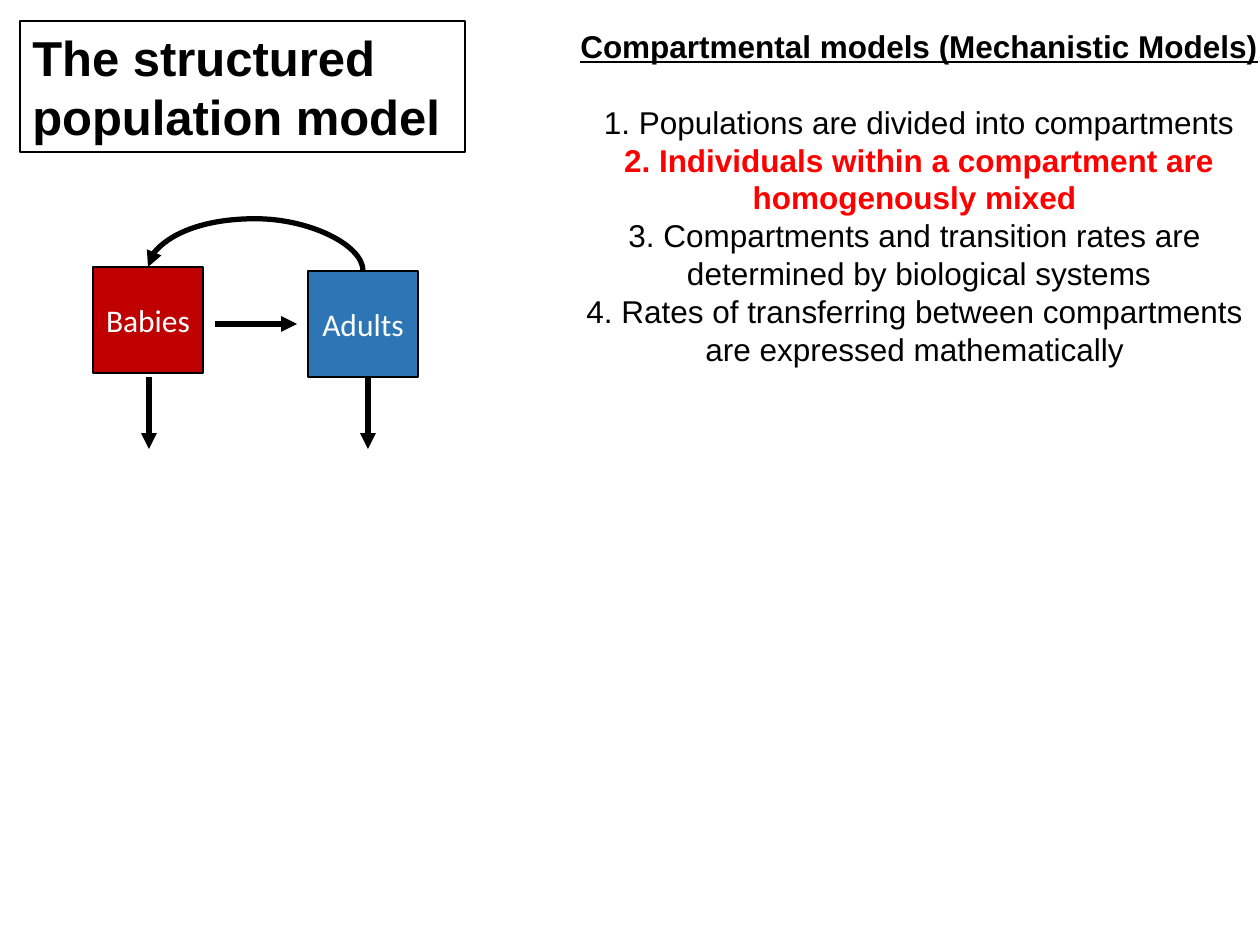
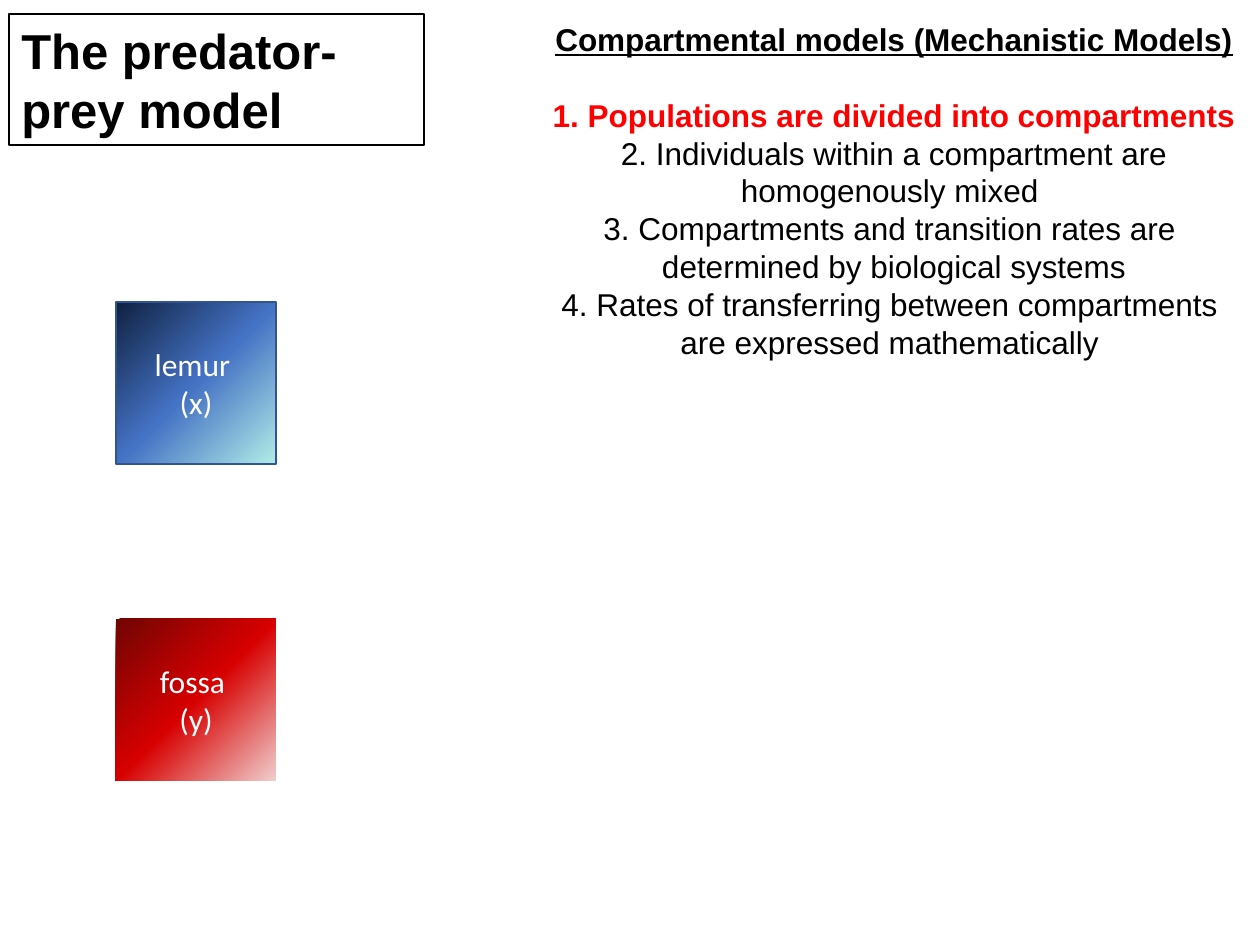
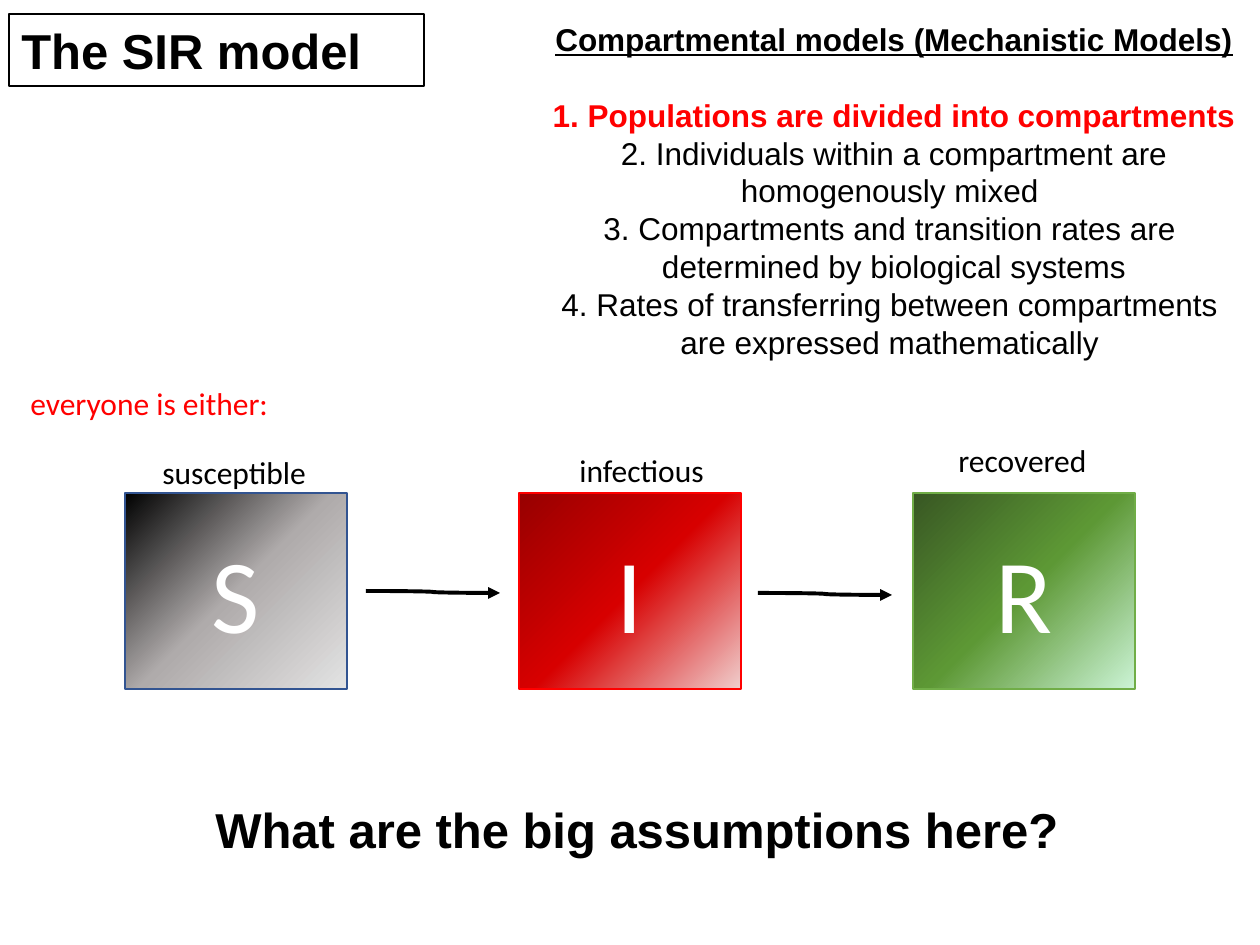
from lxml import etree
from pptx import Presentation
from pptx import util as u
from pptx.dml.color import RGBColor
from pptx.enum import shapes, text
from pptx.oxml.ns import qn

C = {
    "black": "000000", "white": "FFFFFF", "red": "FF0000",
    "babies": "C00000", "adults": "2E75B6",
    "blue_edge": "325491", "green_edge": "70AD47",
}
GRADIENTS = {
    "lemur": ("102141", "4472C4", "B2ECE7"),
    "fossa": ("700503", "D70000", "F0CECD"),
    "susceptible": ("000000", "AFABAB", "E3E3E3"),
    "infectious": ("970000", "D70000", "F0CECD"),
    "recovered": ("385723", "5D9835", "CCF4D6"),
}
HEADING = "Compartmental models (Mechanistic Models)"
PRINCIPLES = [
    ["1. Populations are divided into compartments"],
    ["2. Individuals within a compartment are homogenously mixed "],
    ["3. Compartments and transition rates are ", "determined by biological systems"],
    ["4. Rates of transferring between compartments ", "are expressed mathematically "],
]


def px(*lengths):
    """Turn lengths at 126 px to the inch into EMU."""
    return [u.Emu(round(n * 914400 / 126)) for n in lengths]


def write(tf, lines, size, font="Calibri", color="black", bold=False, align=None):
    """Fill a text frame with one paragraph per line and return the paragraphs."""
    for i, line in enumerate(lines):
        p = tf.add_paragraph() if i else tf.paragraphs[0]
        p.alignment = align
        r = p.add_run()
        r.text = line
        r.font.size = u.Pt(size)
        r.font.name = font
        r.font.bold = bold
        r.font.color.rgb = RGBColor.from_string(C[color])
    return tf.paragraphs


CENTER = text.PP_ALIGN.CENTER
prs = Presentation()
prs.slide_width, prs.slide_height = px(1260, 945)

# Title box and list of principles on every slide: one principle is highlighted
for title, title_box, panel_at, highlight in [
    (["The structured", "population model"], (20, 21, 445, 131), (553, 21), 1),
    (["The predator-prey model"], (9, 14, 415, 131), (528, 14), 0),
    (["The SIR model"], (9, 14, 415, 72), (528, 14), 0),
]:
    s = prs.slides.add_slide(prs.slide_layouts[6])
    sp = s.shapes.add_textbox(*px(*title_box))
    sp.line.color.rgb = RGBColor.from_string(C["black"])
    sp.line.width = u.Pt(0.75)
    sp.text_frame.word_wrap = True
    sp.text_frame.auto_size = text.MSO_AUTO_SIZE.SHAPE_TO_FIT_TEXT
    write(sp.text_frame, title, 28, "Arial", bold=True)

    tf = s.shapes.add_textbox(*px(*panel_at, 732, 357)).text_frame
    tf.word_wrap = True
    lines = [HEADING] + [line for principle in PRINCIPLES for line in principle]
    paragraphs = write(tf, lines, 18, "Arial", align=CENTER)
    paragraphs[0].space_after = u.Pt(21.6)
    paragraphs[0].runs[0].font.bold = True
    paragraphs[0].runs[0].font.underline = True
    for p in paragraphs:
        if p.text in PRINCIPLES[highlight]:
            p.runs[0].font.bold = True
            p.runs[0].font.color.rgb = RGBColor.from_string(C["red"])

structured, predator_prey, sir = prs.slides

# Compartments
SIR_LEFT, SIR_PITCH = 125, 394
compartments = {}
for s, box, lines, size, fill, edge in [
    (structured, (93, 267, 110, 106), ["Babies"], 18, "babies", "black"),
    (structured, (308, 271, 110, 106), ["Adults"], 18, "adults", "black"),
    (predator_prey, (116, 619, 160, 162), ["fossa ", "(y)"], 18, "fossa", None),
    (predator_prey, (116, 302, 160, 162), ["lemur ", "(x)"], 18, "lemur", "blue_edge"),
] + [
    (sir, (SIR_LEFT + i * SIR_PITCH, 493, 222, 196), [letter], 60, fill, edge)
    for i, (letter, fill, edge) in enumerate([
        ("S", "susceptible", "blue_edge"),
        ("I", "infectious", "red"),
        ("R", "recovered", "green_edge"),
    ])
]:
    sp = s.shapes.add_shape(shapes.MSO_SHAPE.RECTANGLE, *px(*box))
    sp.shadow.inherit = False
    if fill in GRADIENTS:
        sp.fill.gradient()
        sp.fill.gradient_angle = 315
        stops = sp.element.spPr.find(".//" + qn("a:gsLst"))
        for stop in list(stops):
            stops.remove(stop)
        for i, color in enumerate(GRADIENTS[fill]):
            stop = etree.SubElement(stops, qn("a:gs"), pos=str(i * 50000))
            etree.SubElement(stop, qn("a:srgbClr"), val=color)
    else:
        sp.fill.solid()
        sp.fill.fore_color.rgb = RGBColor.from_string(C[fill])
    if edge:
        sp.line.color.rgb = RGBColor.from_string(C[edge])
        sp.line.width = u.Pt(1)
    else:
        sp.line.fill.background()
    sp.text_frame.vertical_anchor = text.MSO_ANCHOR.MIDDLE
    write(sp.text_frame, lines, size, color="white", align=CENTER)
    compartments[lines[0]] = sp

# Arrows
STRAIGHT, CURVE = shapes.MSO_CONNECTOR.STRAIGHT, shapes.MSO_CONNECTOR.CURVE
arrows = {}
for name, s, kind, ends, width in [
    ("growth", structured, STRAIGHT, (215, 324, 297, 324), 3),
    ("baby deaths", structured, STRAIGHT, (149, 377, 149, 449), 3),
    ("adult deaths", structured, STRAIGHT, (368, 377, 368, 449), 3),
    ("births", structured, CURVE, (363, 271, 148, 267), 3),
    ("infection", sir, CURVE, (366, 591, 500, 593), 2.25),
    ("recovery", sir, CURVE, (758, 593, 892, 595), 2.25),
]:
    c = s.shapes.add_connector(kind, *px(*ends))
    c.line.color.rgb = RGBColor.from_string(C["black"])
    c.line.width = u.Pt(width)
    etree.SubElement(c.line._get_or_add_ln(), qn("a:tailEnd"), type="triangle")
    etree.SubElement(c.element.spPr, qn("a:effectLst"))
    arrows[name] = c

# The births arrow leaves Adults upwards, so its frame is turned by 270 degrees
births = arrows["births"]
births.begin_connect(compartments["Adults"], 0)
births.end_connect(compartments["Babies"], 0)
births.left, births.top, births.width, births.height = px(253.5, 161.5, 4, 215)
xfrm = births.element.spPr.find(qn("a:xfrm"))
xfrm.attrib.pop("flipH", None)
xfrm.set("rot", str(270 * 60000))
xfrm.set("flipV", "1")
guides = births.element.spPr.find(".//" + qn("a:avLst"))
etree.SubElement(guides, qn("a:gd"), name="adj1", fmla="val 1300000")

# Labels of the SIR model
for box, label, size, font, color, bold in [
    ((150, 447, 171, 50), "susceptible", 18, "Calibri", "black", False),
    ((567, 445, 151, 50), "infectious", 18, "Calibri", "black", False),
    ((946, 435, 155, 50), "recovered", 18, "Calibri", "black", False),
    ((18, 378, 266, 50), "everyone is either:", 18, "Calibri", "red", False),
    ((203, 793, 878, 72), "What are the big assumptions here?", 28, "Arial", "black", True),
]:
    tf = sir.shapes.add_textbox(*px(*box)).text_frame
    tf.word_wrap = False
    tf.auto_size = text.MSO_AUTO_SIZE.SHAPE_TO_FIT_TEXT
    write(tf, [label], size, font, color, bold)

prs.save("out.pptx")
